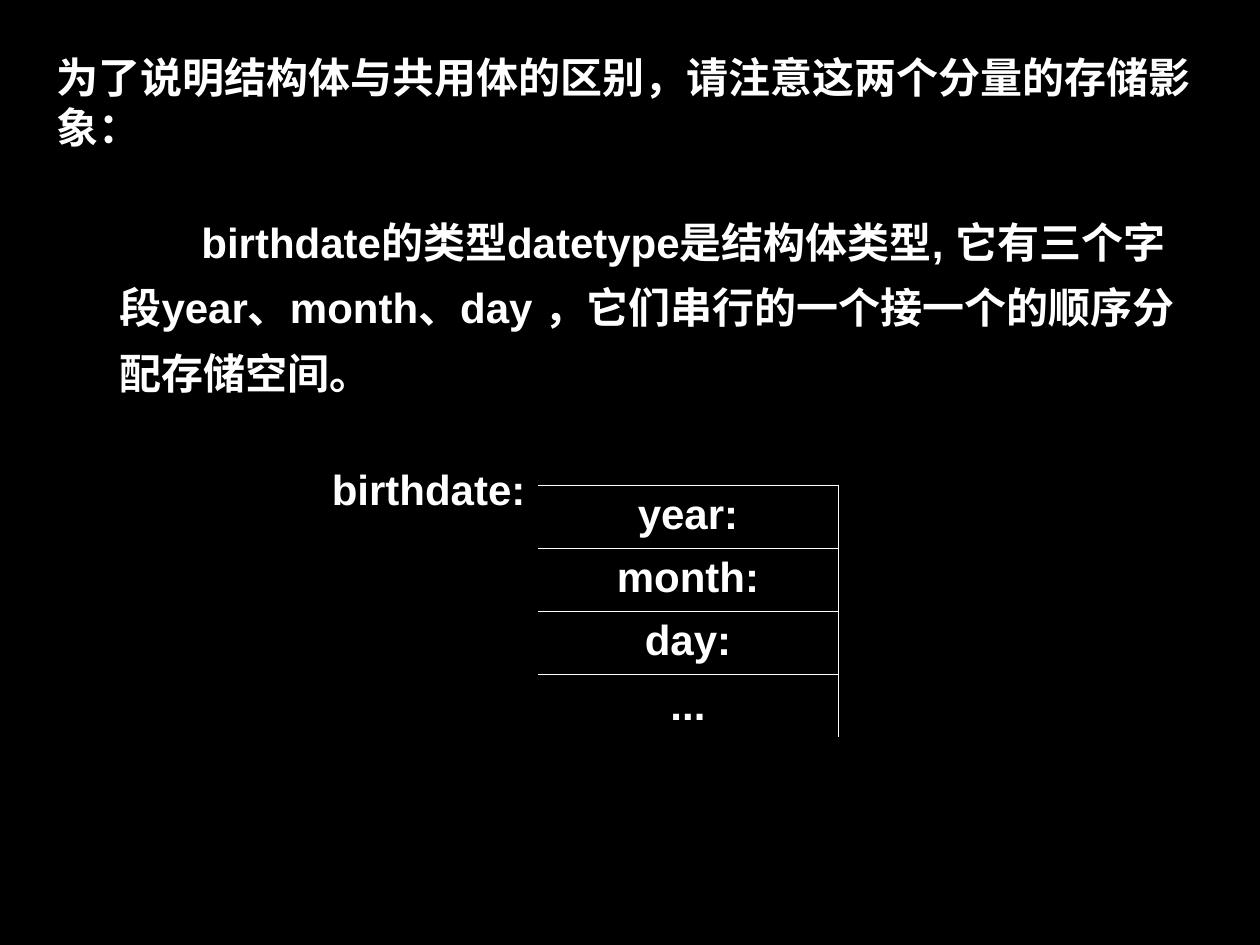
from lxml.etree import SubElement
from pptx import Presentation
from pptx.dml.color import RGBColor
from pptx.enum.text import MSO_ANCHOR as Anchor, PP_ALIGN as Align
from pptx.oxml.ns import qn
from pptx.util import Inches, Pt

WHITE, BLACK = "FFFFFF", "000000"
FONT, SIZE = "Arial", 24
INTRO = "为了说明结构体与共用体的区别，请注意这两个分量的存储影象："
EXPLANATION = ("birthdate的类型datetype是结构体类型, 它有三个字段year、month、day ，"
               "它们串行的一个接一个的顺序分配存储空间。")
RECORD = "birthdate:"
FIELDS = ["year:", "month:", "day:", "..."]
COLUMN_WIDTHS = [2.18, 2.38]
ROW_HEIGHTS = [0.57] + [0.5] * len(FIELDS) + [0.9]
NO_STYLE = "{2D5ABB26-0587-4C30-8999-92F81FD0307C}"


def color(hex_string):
    return RGBColor.from_string(hex_string)


def style(paragraph, align=Align.LEFT):
    paragraph.alignment = align
    for run in paragraph.runs:
        run.font.name = FONT
        run.font.size = Pt(SIZE)
        run.font.bold = True
        run.font.color.rgb = color(WHITE)


def set_borders(cell, visible):
    properties = cell._tc.get_or_add_tcPr()
    for side in ("L", "R", "T", "B"):
        line = SubElement(properties, qn(f"a:ln{side}"), w=str(Pt(0.45)))
        if side in visible:
            fill = SubElement(line, qn("a:solidFill"))
            SubElement(fill, qn("a:srgbClr"), val=WHITE)
        else:
            SubElement(line, qn("a:noFill"))
    cell.fill.background()


def add_explanation(slide):
    box = slide.shapes.add_textbox(Inches(0.35), Inches(0.36), Inches(9.21), Inches(2.86))
    frame = box.text_frame
    frame.word_wrap = True
    intro = frame.paragraphs[0]
    intro.text = INTRO
    style(intro)
    explanation = frame.add_paragraph()
    explanation.text = EXPLANATION
    explanation.line_spacing = 1.3
    explanation.space_before = Pt(28)
    indents = explanation._p.get_or_add_pPr()
    indents.set("marL", str(Inches(0.5)))
    indents.set("indent", str(Inches(0.65)))
    style(explanation)


def add_record(slide):
    frame = slide.shapes.add_table(
        len(ROW_HEIGHTS), len(COLUMN_WIDTHS), Inches(2.09), Inches(3.28),
        Inches(sum(COLUMN_WIDTHS)), Inches(sum(ROW_HEIGHTS)))
    table = frame.table
    table.first_row = table.horz_banding = False
    table._tbl.tblPr.find(qn("a:tableStyleId")).text = NO_STYLE
    for column, width in zip(table.columns, COLUMN_WIDTHS):
        column.width = Inches(width)
    for row, height in zip(table.rows, ROW_HEIGHTS):
        row.height = Inches(height)

    last = len(ROW_HEIGHTS) - 1
    record = table.cell(0, 0)
    record.merge(table.cell(last, 0))
    record.text_frame.text = RECORD
    record.margin_top = Inches(0.43)
    style(record.text_frame.paragraphs[0], Align.RIGHT)
    for index in range(len(ROW_HEIGHTS)):
        set_borders(table.cell(index, 0), "")

    set_borders(table.cell(0, 1), "B")
    set_borders(table.cell(last, 1), "")
    for index, name in enumerate(FIELDS, 1):
        field = table.cell(index, 1)
        field.text_frame.text = name
        style(field.text_frame.paragraphs[0], Align.CENTER)
        is_final = index == len(FIELDS)
        if is_final:
            field.vertical_anchor = Anchor.MIDDLE
        set_borders(field, "TR" if is_final else "TRB")


def main():
    deck = Presentation()
    deck.slide_width, deck.slide_height = Inches(10), Inches(7.5)
    slide = deck.slides.add_slide(deck.slide_layouts[6])
    slide.background.fill.solid()
    slide.background.fill.fore_color.rgb = color(BLACK)
    add_explanation(slide)
    add_record(slide)
    deck.save("out.pptx")


if __name__ == "__main__":
    main()
